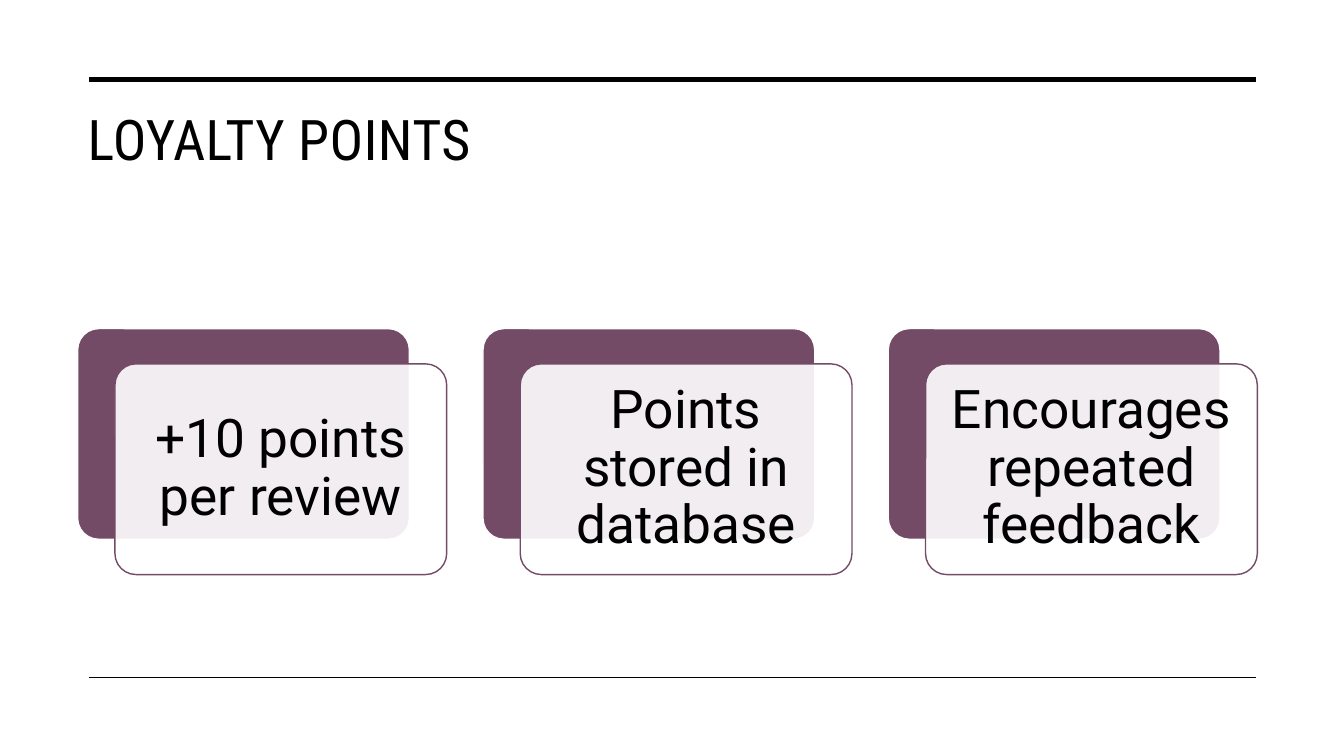
import pptx
import pptx.dml.color
import pptx.enum.shapes
import pptx.enum.text
import pptx.oxml.ns
import pptx.util
from lxml import etree

Inches = pptx.util.Inches
Pt = pptx.util.Pt
BLACK = pptx.dml.color.RGBColor(0x00, 0x00, 0x00)
WHITE = pptx.dml.color.RGBColor(0xFF, 0xFF, 0xFF)
PLUM = pptx.dml.color.RGBColor(0x73, 0x4B, 0x67)

SLIDE_WIDTH, SLIDE_HEIGHT = 13.33, 7.5
RULE_LEFT, RULE_RIGHT = 0.88, 12.46
CARD_LEFT, CARD_TOP = 0.77, 3.26
CARD_WIDTH, CARD_HEIGHT = 3.29, 2.09
COLUMN_STEP = 4.02
FRONT_SHIFT_X, FRONT_SHIFT_Y = 0.37, 0.35
BENEFITS = (
    "+10 points per review",
    "Points stored in database",
    "Encourages repeated feedback",
)


def style_text(text_frame, text, font_name, size, alignment):
    """Write one paragraph and format its run."""
    text_frame.text = text
    text_frame.word_wrap = True
    paragraph = text_frame.paragraphs[0]
    paragraph.alignment = alignment
    font = paragraph.runs[0].font
    font.name = font_name
    font.size = Pt(size)
    font.color.rgb = BLACK
    return paragraph


def add_title(slide, text):
    """Place and format the title placeholder."""
    title = slide.shapes.title
    title.left, title.top = Inches(0.77), Inches(0.99)
    title.width, title.height = Inches(11.69), Inches(1.26)
    title.text_frame.vertical_anchor = pptx.enum.text.MSO_ANCHOR.TOP
    paragraph = style_text(title.text_frame, text, "Roboto Condensed", 40,
                           pptx.enum.text.PP_ALIGN.LEFT)
    paragraph.runs[0].font._element.set("spc", "30")


def add_rule(slide, top, weight):
    """Draw a horizontal rule across the content width."""
    rule = slide.shapes.add_connector(
        pptx.enum.shapes.MSO_CONNECTOR.STRAIGHT,
        Inches(RULE_LEFT), Inches(top), Inches(RULE_RIGHT), Inches(top))
    rule.line.color.rgb = BLACK
    rule.line.width = Pt(weight)
    etree.SubElement(rule._element.spPr, pptx.oxml.ns.qn("a:effectLst"))


def add_panel(slide, left, top, fill, outline):
    """Add one rounded panel of the card size."""
    panel = slide.shapes.add_shape(
        pptx.enum.shapes.MSO_SHAPE.ROUNDED_RECTANGLE,
        Inches(left), Inches(top), Inches(CARD_WIDTH), Inches(CARD_HEIGHT))
    panel.adjustments[0] = 0.1
    panel.shadow.inherit = False
    panel.fill.solid()
    panel.fill.fore_color.rgb = fill
    panel.line.color.rgb = outline
    panel.line.width = Pt(1)
    return panel


def set_opacity(shape, percent):
    """Make the solid fill of a shape partly transparent."""
    color = shape._element.spPr.find(
        "/".join(map(pptx.oxml.ns.qn, ("a:solidFill", "a:srgbClr"))))
    etree.SubElement(color, pptx.oxml.ns.qn("a:alpha"), val=str(percent * 1000))


def add_card(slide, column, text):
    """Add a plum panel with a translucent text panel over it."""
    left = CARD_LEFT + column * COLUMN_STEP
    add_panel(slide, left, CARD_TOP, PLUM, WHITE)
    front = add_panel(slide, left + FRONT_SHIFT_X, CARD_TOP + FRONT_SHIFT_Y, WHITE, PLUM)
    set_opacity(front, 90)
    text_frame = front.text_frame
    text_frame.margin_left = text_frame.margin_right = Inches(0.16)
    text_frame.margin_top = text_frame.margin_bottom = Inches(0.16)
    text_frame.vertical_anchor = pptx.enum.text.MSO_ANCHOR.MIDDLE
    paragraph = style_text(text_frame, text, "Roboto", 38,
                           pptx.enum.text.PP_ALIGN.CENTER)
    paragraph.line_spacing = 0.9


def main():
    """Build the loyalty points slide."""
    presentation = pptx.Presentation()
    presentation.slide_width = Inches(SLIDE_WIDTH)
    presentation.slide_height = Inches(SLIDE_HEIGHT)
    slide = presentation.slides.add_slide(presentation.slide_layouts[5])
    add_title(slide, "LOYALTY POINTS")
    add_rule(slide, 0.79, 3.5)
    add_rule(slide, 6.72, 1)
    for column, text in enumerate(BENEFITS):
        add_card(slide, column, text)
    presentation.save("out.pptx")


if __name__ == "__main__":
    main()
